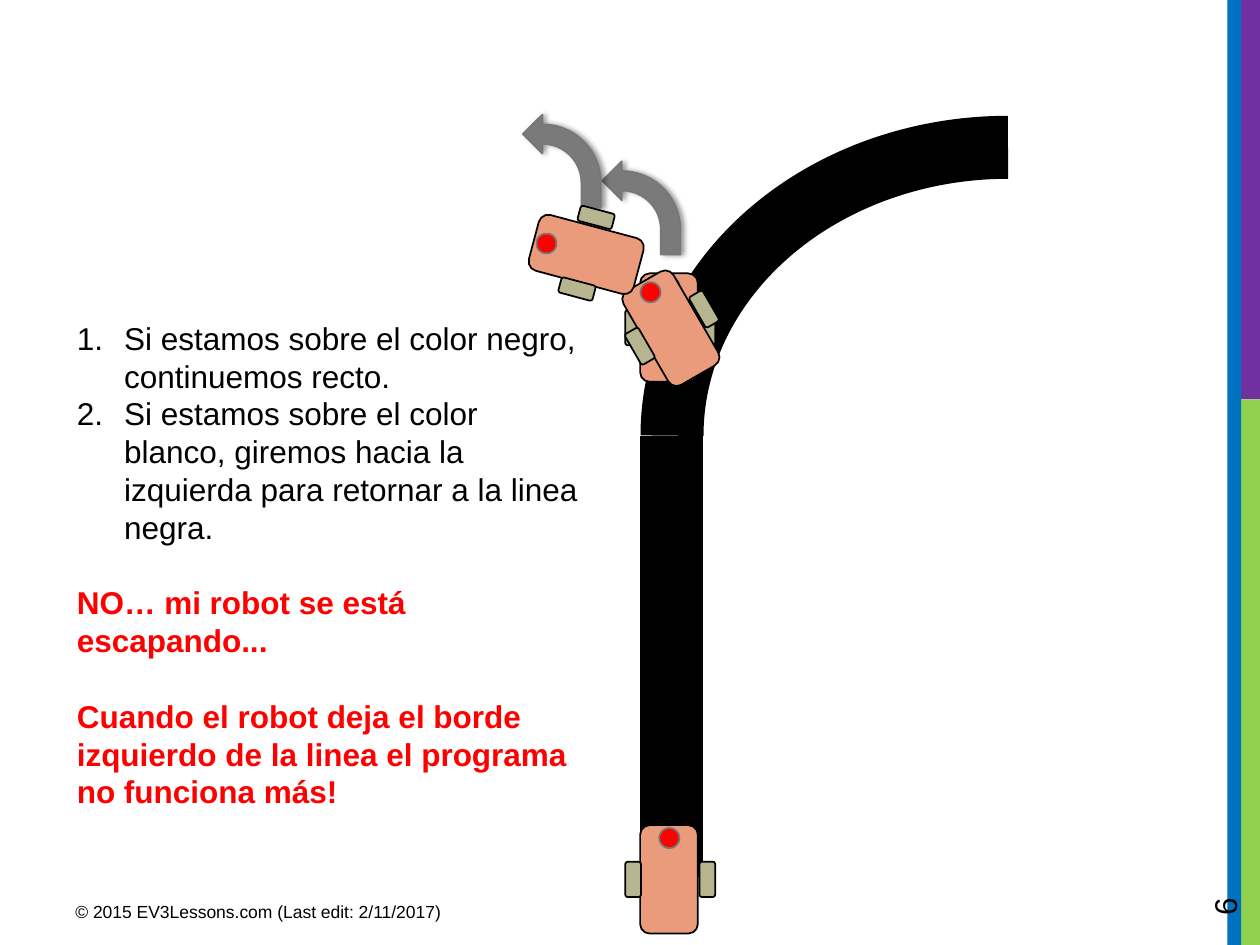
from dataclasses import dataclass

from lxml.etree import SubElement
from pptx import Presentation
from pptx.dml.color import RGBColor as RGB
from pptx.enum.shapes import MSO_CONNECTOR as CONN, MSO_SHAPE as SHAPE
from pptx.enum.text import MSO_ANCHOR as ANCHOR, MSO_AUTO_SIZE as AUTO
from pptx.oxml.ns import qn
from pptx.util import Pt


@dataclass(frozen=True)
class Theme:
    font: str = "Arial"
    body: float = 18
    small: float = 10
    leading: float = 21.6
    ink: str = "000000"
    alert: str = "FF0000"
    blue: str = "0070C0"
    green: str = "92D050"
    purple: str = "7030A0"
    robot: str = "EA9B7C"
    wheel: str = "B6B590"
    arrow: str = "7A7A7A"
    outline: str = "777777"
    track: float = 36


def write(p, text, font, size, color, bold=False, numbered=False, before=0, leading=None):
    """Fill paragraph p with one formatted run."""
    pPr = p._p.get_or_add_pPr()
    indent = Pt(27) if numbered else 0
    pPr.set("marL", str(indent))
    pPr.set("indent", str(-indent))
    if numbered:
        SubElement(pPr, qn("a:buFont"), typeface="+mj-lt")
        SubElement(pPr, qn("a:buAutoNum"), type="arabicPeriod")
    else:
        SubElement(pPr, qn("a:buNone"))
    p.space_before = Pt(before)
    if leading:
        p.line_spacing = Pt(leading)
    r = p.add_run()
    r.text = text
    r.font.name, r.font.size, r.font.bold = font, Pt(size), bold
    r.font.color.rgb = RGB.from_string(color)


class SlideBuilder:
    def __init__(self, slide, theme):
        self.slide, self.theme = slide, theme

    def shape(self, kind, x, y, w, h, fill=None, line=None, width=1, parent=None, flip=False):
        s = (parent or self.slide).shapes.add_shape(kind, Pt(x), Pt(y), Pt(w), Pt(h))
        s.shadow.inherit = False
        if fill:
            s.fill.solid()
            s.fill.fore_color.rgb = RGB.from_string(fill)
        else:
            s.fill.background()
        if line:
            s.line.color.rgb = RGB.from_string(line)
            s.line.width = Pt(width)
        else:
            s.line.fill.background()
        if flip:
            s._element.spPr.find(qn("a:xfrm")).set("flipH", "1")
        return s

    def track(self, x, bottom, bend, top, width):
        """Draw a straight track that bends right in a quarter ellipse."""
        t = self.theme
        c = self.slide.shapes.add_connector(CONN.STRAIGHT, Pt(x), Pt(bottom), Pt(x), Pt(bend))
        c.line.color.rgb = RGB.from_string(t.ink)
        c.line.width = Pt(t.track)
        SubElement(c._element.spPr, qn("a:effectLst"))
        self.shape(SHAPE.ARC, x, top, width, 2 * (bend - top), line=t.ink, width=t.track, flip=True)

    def robot(self, cx, cy, rotation=0):
        t = self.theme
        group = self.slide.shapes.add_group_shape()
        parts = [
            (SHAPE.ROUNDED_RECTANGLE, -0.7, 0, 33, 62, t.robot, t.ink),
            (SHAPE.ROUNDED_RECTANGLE, 21.2, 0, 9, 20.2, t.wheel, t.ink),
            (SHAPE.ROUNDED_RECTANGLE, -21.2, 0, 9, 20.2, t.wheel, t.ink),
            (SHAPE.OVAL, -0.5, -23.6, 11.5, 11.5, t.alert, t.outline),
        ]
        for kind, dx, dy, w, h, fill, line in parts:
            self.shape(kind, cx + dx - w / 2, cy + dy - h / 2, w, h, fill, line, parent=group)
        group.rotation = rotation

    def turn_arrow(self, x, y):
        t = self.theme
        s = self.shape(SHAPE.BENT_ARROW, x, y, 44.6, 53.3, t.arrow, t.outline, flip=True)
        for i, value in enumerate((0.25, 0.25, 0.25, 0.75)):
            s.adjustments[i] = value
        effects = s._element.spPr.find(qn("a:effectLst"))
        shadow = SubElement(effects, qn("a:outerShdw"), blurRad=str(Pt(3.1)),
                            dist=str(Pt(1.8)), dir="0", rotWithShape="0")
        color = SubElement(shadow, qn("a:srgbClr"), val=t.ink)
        SubElement(color, qn("a:alpha"), val="40000")

    def label(self, text, x, y, w, h, size, rotation=0):
        s = self.slide.shapes.add_textbox(Pt(x), Pt(y), Pt(w), Pt(h))
        s.rotation = rotation
        s.text_frame.word_wrap = True
        write(s.text_frame.paragraphs[0], text, self.theme.font, size, self.theme.ink)

    def body(self, x, y, w, h, items):
        """Fill the body placeholder from (text, format) pairs."""
        t = self.theme
        s = self.slide.placeholders[1]
        s.left, s.top, s.width, s.height = Pt(x), Pt(y), Pt(w), Pt(h)
        tf = s.text_frame
        tf.word_wrap, tf.auto_size = True, AUTO.SHAPE_TO_FIT_TEXT
        tf.vertical_anchor = ANCHOR.TOP
        for i, (text, fmt) in enumerate(items):
            p = tf.add_paragraph() if i else tf.paragraphs[0]
            write(p, text, t.font, t.body, leading=t.leading, **fmt)


def main():
    prs = Presentation()
    prs.slide_width, prs.slide_height = Pt(720), Pt(540)
    slide = prs.slides.add_slide(prs.slide_layouts[1])
    title = slide.shapes.title._element
    title.getparent().remove(title)
    t = Theme()
    b = SlideBuilder(slide, t)

    for x, y, w, h, color in [
        (708.5, 228.2, 11.5, 311.8, t.green),
        (705.6, 0, 14.4, 228.2, t.purple),
        (701.3, 0, 7.9, 540, t.blue),
    ]:
        b.shape(SHAPE.RECTANGLE, x, y, w, h, color)

    b.track(384, 501, 249, 84.2, 384)
    b.robot(383, 502.5)
    b.robot(383, 187.2)
    b.turn_arrow(344.2, 92.2)
    b.robot(384, 187.2, 330)
    b.turn_arrow(298.8, 65.5)
    b.robot(335.2, 144.7, 285)

    step = dict(color=t.ink, numbered=True)
    warning = dict(color=t.alert, bold=True, before=t.leading)
    b.body(36.7, 178.6, 303.8, 290.9, [
        ("Si estamos sobre el color negro, continuemos recto.", step),
        ("Si estamos sobre el color blanco, giremos hacia la izquierda "
         "para retornar a la linea negra.", step),
        ("NO… mi robot se está escapando...", warning),
        ("Cuando el robot deja el borde izquierdo de la linea "
         "el programa no funciona más!", warning),
    ])
    b.label("© 2015 EV3Lessons.com (Last edit: 2/11/2017)", 36, 511.2, 270, 22.3, t.small)
    b.label("6", 648, 463.7, 103.7, 28.8, t.body, 270)
    prs.save("out.pptx")


if __name__ == "__main__":
    main()
